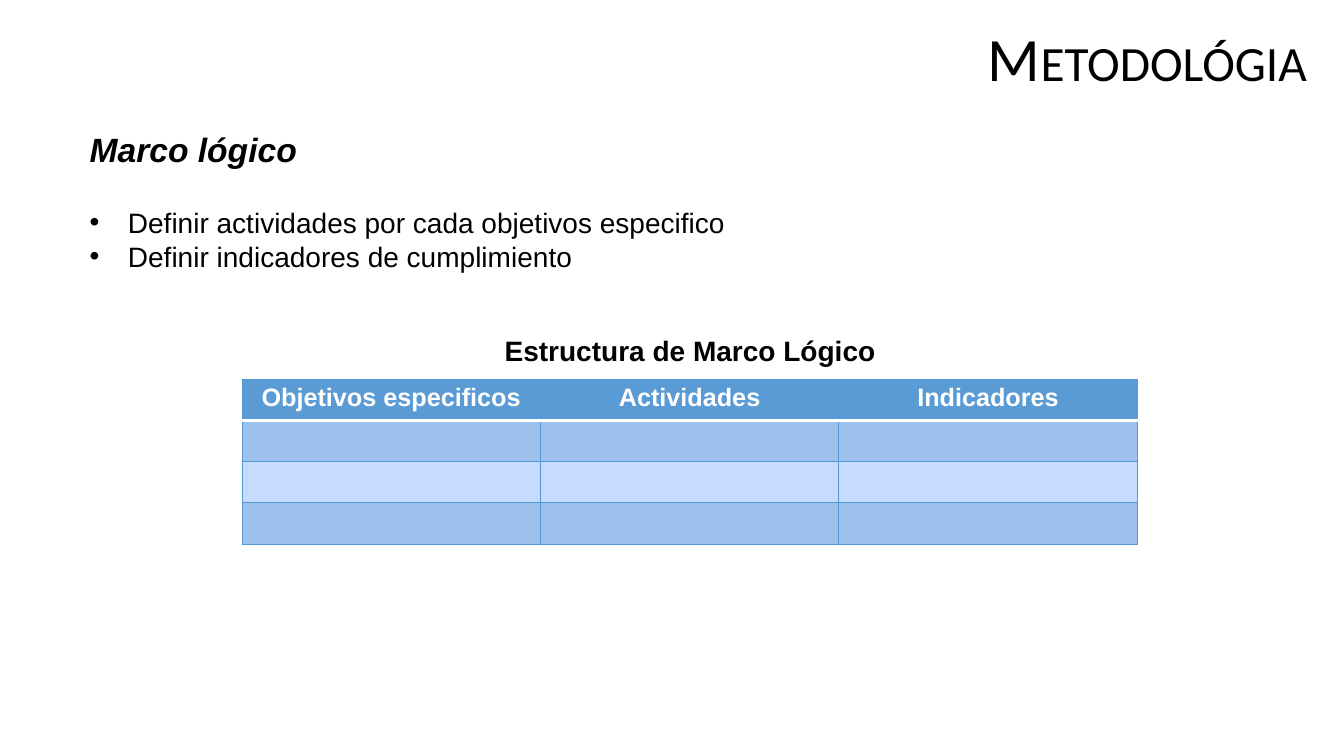
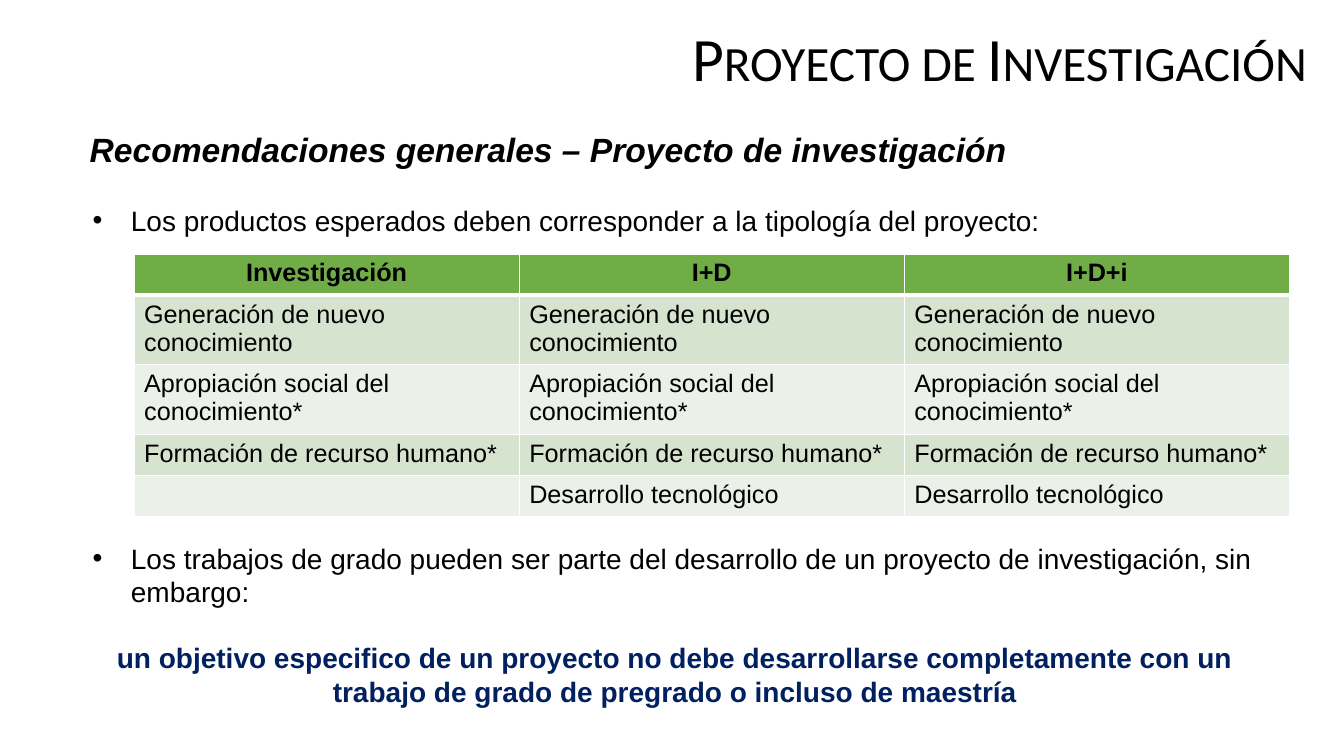
from collections import namedtuple

from lxml.etree import SubElement
from pptx import Presentation
from pptx.dml.color import RGBColor
from pptx.enum.text import MSO_AUTO_SIZE as AutoSize, PP_ALIGN as Align
from pptx.oxml.ns import qn
from pptx.util import Inches, Pt

BLACK = RGBColor(0x00, 0x00, 0x00)
WHITE = RGBColor(0xFF, 0xFF, 0xFF)
NAVY = RGBColor(0x00, 0x20, 0x60)
BLUE = RGBColor(0x5B, 0x9B, 0xD5)
BLUE_EDGE = RGBColor(0x56, 0x98, 0xD3)
BLUE_BAND = RGBColor(0x9C, 0xC1, 0xED)
BLUE_PALE = RGBColor(0xC6, 0xDB, 0xFF)
GREEN = RGBColor(0x70, 0xAD, 0x47)
GREEN_BAND = RGBColor(0xD5, 0xE3, 0xCF)
GREEN_PALE = RGBColor(0xEB, 0xF1, 0xE9)

BODY_FONT = "Arial"
TITLE_FONT = "Calibri"

TableStyle = namedtuple("TableStyle", "header header_text bands edge edge_width rule_width")
BLUE_STYLE = TableStyle(BLUE, WHITE, (BLUE_BAND, BLUE_PALE), BLUE_EDGE, 0.75, 2)
GREEN_STYLE = TableStyle(GREEN, BLACK, (GREEN_BAND, GREEN_PALE), WHITE, 1, 3)


def add_span(para, text, size=20, color=BLACK, bold=False, italic=False, font=BODY_FONT):
    """Append one formatted run to a paragraph."""
    span = para.add_run()
    span.text = text
    span.font.name, span.font.size = font, Pt(size)
    span.font.bold, span.font.italic = bold, italic
    span.font.color.rgb = color
    return span


def add_box(page, left, top, width, height):
    """Add a wrapping text box and return its text frame."""
    box = page.shapes.add_textbox(Inches(left), Inches(top), Inches(width), Inches(height))
    box.text_frame.word_wrap = True
    box.text_frame.auto_size = AutoSize.NONE
    return box.text_frame


def add_heading(page, title, subtitle):
    """Add the small-caps title and the italic subtitle."""
    para = add_box(page, 3.14, 0.23, 9.92, 1.03).paragraphs[0]
    para.alignment = Align.RIGHT
    para.line_spacing = 0.9
    span = add_span(para, title, size=44, font=TITLE_FONT)
    span.font._element.set("cap", "small")
    para = add_box(page, 0.79, 1.23, 11.29, 0.5).paragraphs[0]
    add_span(para, subtitle, size=24, bold=True, italic=True)


def add_bullets(page, left, top, height, items):
    """Add a bulleted list and return its text frame."""
    frame = add_box(page, left, top, 11.75, height)
    for index, item in enumerate(items):
        para = frame.add_paragraph() if index else frame.paragraphs[0]
        props = para._p.get_or_add_pPr()
        props.set("marL", str(Inches(0.38)))
        props.set("indent", str(Inches(-0.38)))
        SubElement(props, qn("a:buFont"), typeface=BODY_FONT)
        SubElement(props, qn("a:buChar"), char="•")
        add_span(para, item)
    return frame


def add_centred(para, text, color=BLACK):
    """Write a bold centred line into a paragraph."""
    para.alignment = Align.CENTER
    add_span(para, text, color=color, bold=True)


def set_border(cell, side, color, width):
    """Draw one side of a table cell."""
    line = SubElement(cell._tc.get_or_add_tcPr(), qn(f"a:ln{side}"), w=str(Pt(width)))
    fill = SubElement(line, qn("a:solidFill"))
    SubElement(fill, qn("a:srgbClr"), val=str(color))


def style_cell(cell, row, style):
    """Set the borders and fill of a cell by its row."""
    heavy = {0: "B", 1: "T"}.get(row)
    for side in "LRTB":
        if side == heavy:
            set_border(cell, side, WHITE, style.rule_width)
        else:
            set_border(cell, side, style.edge, style.edge_width)
    cell.fill.solid()
    cell.fill.fore_color.rgb = style.bands[(row - 1) % 2] if row else style.header


def add_grid(page, left, top, column_width, heights, rows, style):
    """Add a table with a header row and banded body rows."""
    columns = len(rows[0])
    table = page.shapes.add_table(
        len(rows), columns, Inches(left), Inches(top),
        Inches(column_width * columns), Inches(sum(heights))).table
    for column in table.columns:
        column.width = Inches(column_width)
    for r, (height, texts) in enumerate(zip(heights, rows)):
        table.rows[r].height = Inches(height)
        for c, text in enumerate(texts):
            cell = table.cell(r, c)
            style_cell(cell, r, style)
            para = cell.text_frame.paragraphs[0]
            para.font.size = Pt(18)
            if r == 0:
                para.alignment = Align.CENTER
            if text:
                add_span(para, text, size=18, bold=r == 0,
                         color=BLACK if r else style.header_text)


def build_framework(page):
    """Build the logical framework slide."""
    add_heading(page, "Metodológia", "Marco lógico")
    add_bullets(page, 0.79, 1.99, 0.77, [
        "Definir actividades por cada objetivos especifico",
        "Definir indicadores de cumplimiento",
    ])
    header = ["Objetivos especificos", "Actividades", "Indicadores"]
    add_grid(page, 2.4, 3.76, 2.96, [0.41] * 4, [header] + [[""] * 3] * 3, BLUE_STYLE)
    caption = add_box(page, 0.97, 3.26, 11.75, 0.44)
    add_centred(caption.paragraphs[0], "Estructura de Marco Lógico")


def build_project(page):
    """Build the research project slide."""
    add_heading(page, "Proyecto de Investigación",
                "Recomendaciones generales – Proyecto de investigación")
    frame = add_bullets(page, 0.82, 5.32, 1.75, [
        "Los trabajos de grado pueden ser parte del desarrollo de un proyecto de "
        "investigación, sin embargo:",
    ])
    warning = frame.add_paragraph()
    warning.space_before = Pt(23)
    add_centred(warning, "un objetivo especifico de un proyecto no debe desarrollarse "
                "completamente con un trabajo de grado de pregrado o incluso de maestría", NAVY)
    add_bullets(page, 0.82, 1.97, 0.44, [
        "Los productos esperados deben corresponder a la tipología del proyecto:",
    ])
    rows = [
        ["Investigación", "I+D", "I+D+i"],
        ["Generación de nuevo conocimiento"] * 3,
        ["Apropiación social del conocimiento*"] * 3,
        ["Formación de recurso humano*"] * 3,
        [""] + ["Desarrollo tecnológico"] * 2,
    ]
    add_grid(page, 1.33, 2.52, 3.82, [0.41, 0.69, 0.69, 0.41, 0.41], rows, GREEN_STYLE)


def main():
    """Create and save the deck."""
    deck = Presentation()
    deck.slide_width, deck.slide_height = Inches(13.33), Inches(7.5)
    for build in (build_framework, build_project):
        build(deck.slides.add_slide(deck.slide_layouts[6]))
    deck.save("out.pptx")


main()
